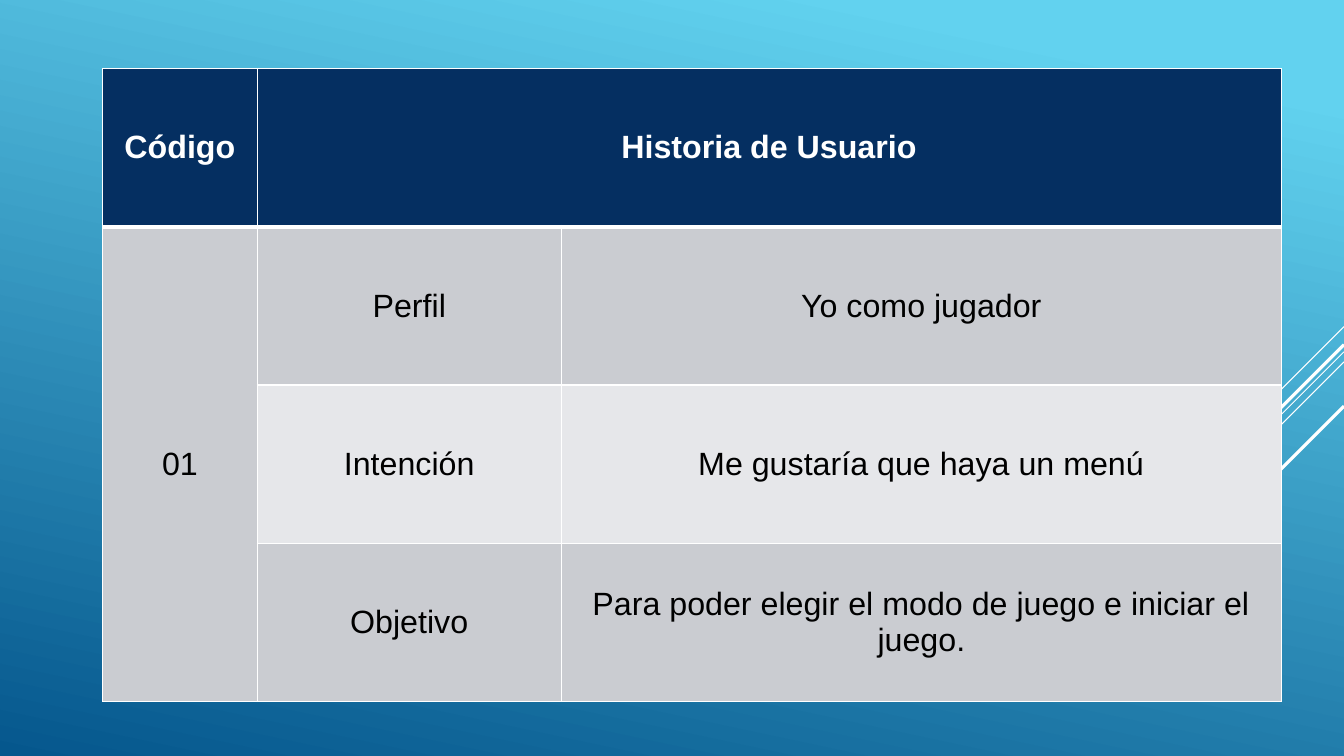
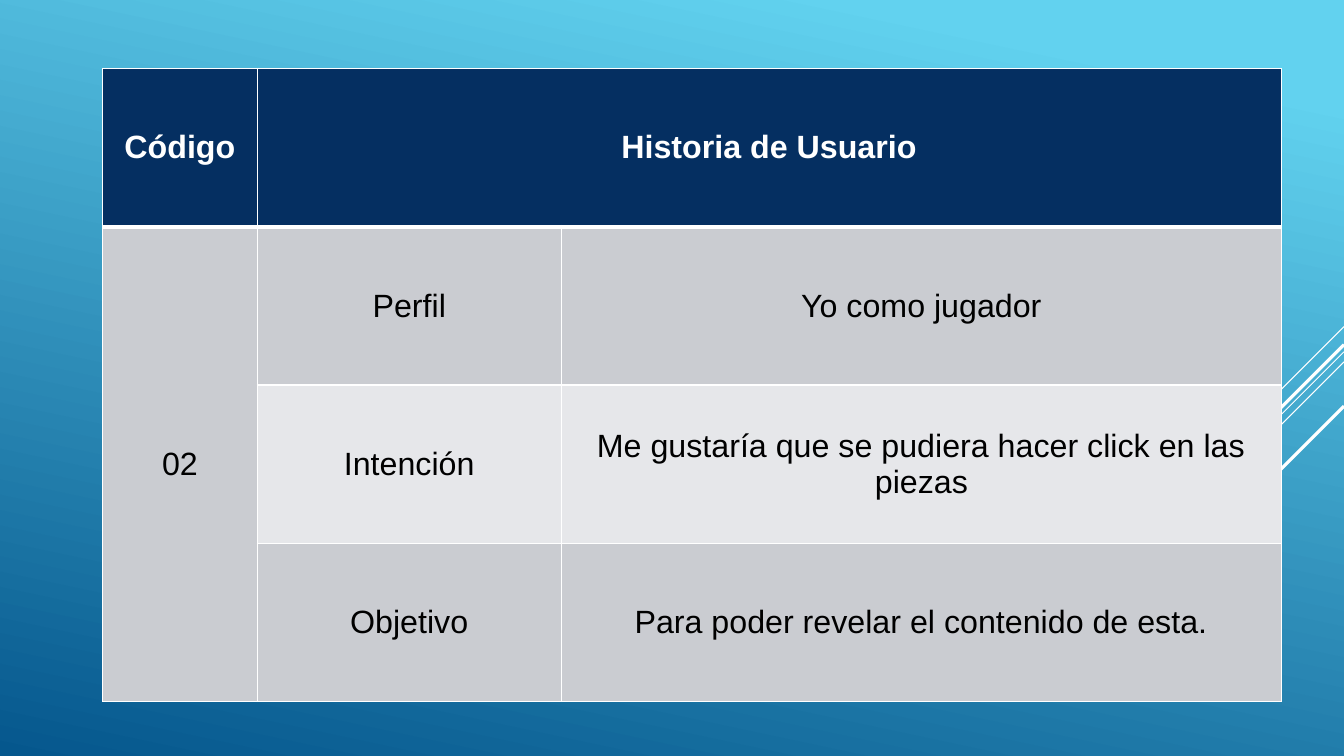
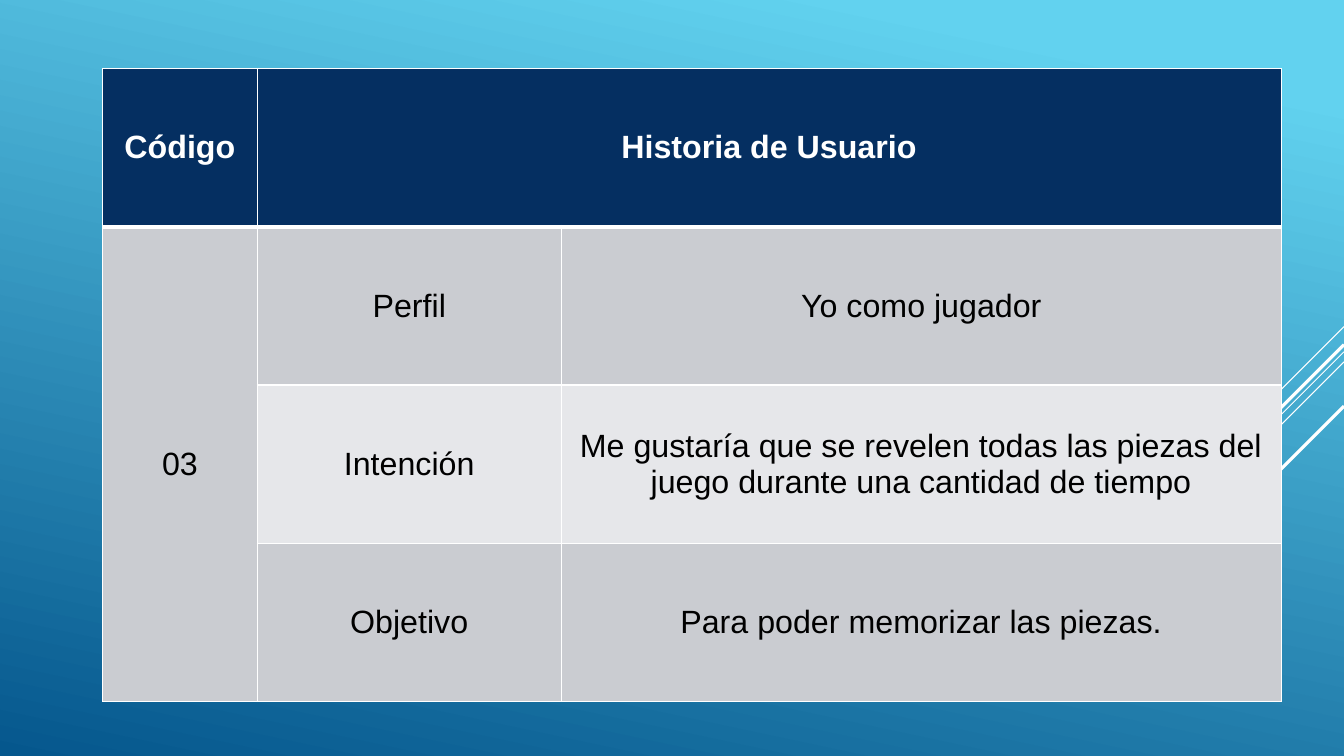
from copy import deepcopy

from lxml import etree
from pptx import Presentation
from pptx.dml.color import RGBColor
from pptx.enum.shapes import MSO_CONNECTOR
from pptx.enum.text import MSO_ANCHOR, PP_ALIGN
from pptx.oxml.ns import qn
from pptx.util import Inches, Pt

STRAIGHT = MSO_CONNECTOR.STRAIGHT
MIDDLE = MSO_ANCHOR.MIDDLE
CENTER = PP_ALIGN.CENTER

WHITE = RGBColor(0xFF, 0xFF, 0xFF)
BLACK = RGBColor(0x00, 0x00, 0x00)
NAVY = RGBColor(0x05, 0x2F, 0x61)
GRAY = RGBColor(0xCA, 0xCC, 0xD1)
LIGHT_GRAY = RGBColor(0xE6, 0xE7, 0xEA)
SKY = RGBColor(0x62, 0xD2, 0xEF)
DEEP_BLUE = RGBColor(0x05, 0x57, 0x8D)

FONT = "Arial"
SLIDE_WIDTH, SLIDE_HEIGHT = 13.33, 7.5
GRADIENT = [(0, SKY), (0.1, SKY), (1, DEEP_BLUE)]
GRADIENT_ANGLE = 102  # clockwise

# Each diagonal runs down at 45 degrees from the right edge: top, run, weight
DIAGONALS = [
    (3.24, 1.0, 0.75),
    (3.49, 3.26, 0.75),
    (3.59, 2.07, 0.75),
    (3.42, 1.91, 2.25),
    (4.03, 1.39, 2.25),
]

TABLE_LEFT, TABLE_TOP = 1.02, 0.68
COLUMN_WIDTHS = [1.53, 3.02, 7.14]
ROW_HEIGHT = 1.57
ROW_FILLS = [NAVY, GRAY, LIGHT_GRAY, GRAY]
THIN, THICK = 1, 3

# Code, profile, intention, objective
STORIES = [
    ("01", "Yo como jugador", "Me gustaría que haya un menú",
     "Para poder elegir el modo de juego e iniciar el juego."),
    ("02", "Yo como jugador",
     "Me gustaría que se pudiera hacer click en las piezas",
     "Para poder revelar el contenido de esta."),
    ("03", "Yo como jugador",
     "Me gustaría que se revelen todas las piezas del juego durante una "
     "cantidad de tiempo",
     "Para poder memorizar las piezas."),
]


def set_gradient_background(master):
    fill = master.background.fill
    fill.gradient()
    fill.gradient_angle = 360 - GRADIENT_ANGLE
    stop_list = master.element.find(".//" + qn("a:gsLst"))
    stop_list.insert(1, deepcopy(stop_list[0]))
    for stop, (position, color) in zip(fill.gradient_stops, GRADIENT):
        stop.position = position
        stop.color.rgb = color


def add_diagonals(master, slide):
    """Draw the diagonals on the slide, then move them to its master."""
    for number, (top, run, weight) in enumerate(DIAGONALS):
        line = slide.shapes.add_connector(
            STRAIGHT, Inches(SLIDE_WIDTH), Inches(top),
            Inches(SLIDE_WIDTH - run), Inches(top + run))
        line.line.color.rgb = WHITE
        line.line.width = Pt(weight)
        properties = line.element.spPr
        etree.SubElement(properties, qn("a:effectLst"))
        line.element.nvCxnSpPr.cNvPr.id = 101 + number
        master.shapes.element.append(line.element)


def set_borders(cell, widths):
    """Set white borders, widths in the order left, right, top, bottom."""
    properties = cell._tc.get_or_add_tcPr()
    for index, (side, width) in enumerate(zip("LRTB", widths)):
        border = etree.Element(qn("a:ln" + side), w=str(Pt(width)))
        fill = etree.SubElement(border, qn("a:solidFill"))
        etree.SubElement(fill, qn("a:srgbClr"), val=str(WHITE))
        properties.insert(index, border)


def format_cell(cell, row):
    header = row == 0
    cell.fill.solid()
    cell.fill.fore_color.rgb = ROW_FILLS[row]
    set_borders(cell, (THIN, THIN, THICK if row == 1 else THIN,
                       THICK if header else THIN))
    cell.vertical_anchor = MIDDLE
    paragraph = cell.text_frame.paragraphs[0]
    paragraph.alignment = CENTER
    paragraph.font.name = FONT
    paragraph.font.size = Pt(23)
    paragraph.font.bold = header
    paragraph.font.color.rgb = WHITE if header else BLACK


def add_story_table(slide, code, profile, intention, objective):
    rows = [
        ("Código", "Historia de Usuario", ""),
        (code, "Perfil", profile),
        ("", "Intención", intention),
        ("", "Objetivo", objective),
    ]
    table = slide.shapes.add_table(
        len(rows), len(COLUMN_WIDTHS), Inches(TABLE_LEFT), Inches(TABLE_TOP),
        Inches(sum(COLUMN_WIDTHS)), Inches(ROW_HEIGHT * len(rows))).table
    for column, width in zip(table.columns, COLUMN_WIDTHS):
        column.width = Inches(width)
    for row_index, texts in enumerate(rows):
        table.rows[row_index].height = Inches(ROW_HEIGHT)
        for column_index, text in enumerate(texts):
            cell = table.cell(row_index, column_index)
            cell.text = text
            format_cell(cell, row_index)
    table.cell(0, 1).merge(table.cell(0, 2))
    table.cell(1, 0).merge(table.cell(3, 0))


def main():
    presentation = Presentation()
    presentation.slide_width = Inches(SLIDE_WIDTH)
    presentation.slide_height = Inches(SLIDE_HEIGHT)
    master = presentation.slide_master
    blank_layout = presentation.slide_layouts.get_by_name("Blank")
    set_gradient_background(master)
    slides = [presentation.slides.add_slide(blank_layout) for _ in STORIES]
    add_diagonals(master, slides[0])
    for slide, story in zip(slides, STORIES):
        add_story_table(slide, *story)
    presentation.save("out.pptx")


if __name__ == "__main__":
    main()
